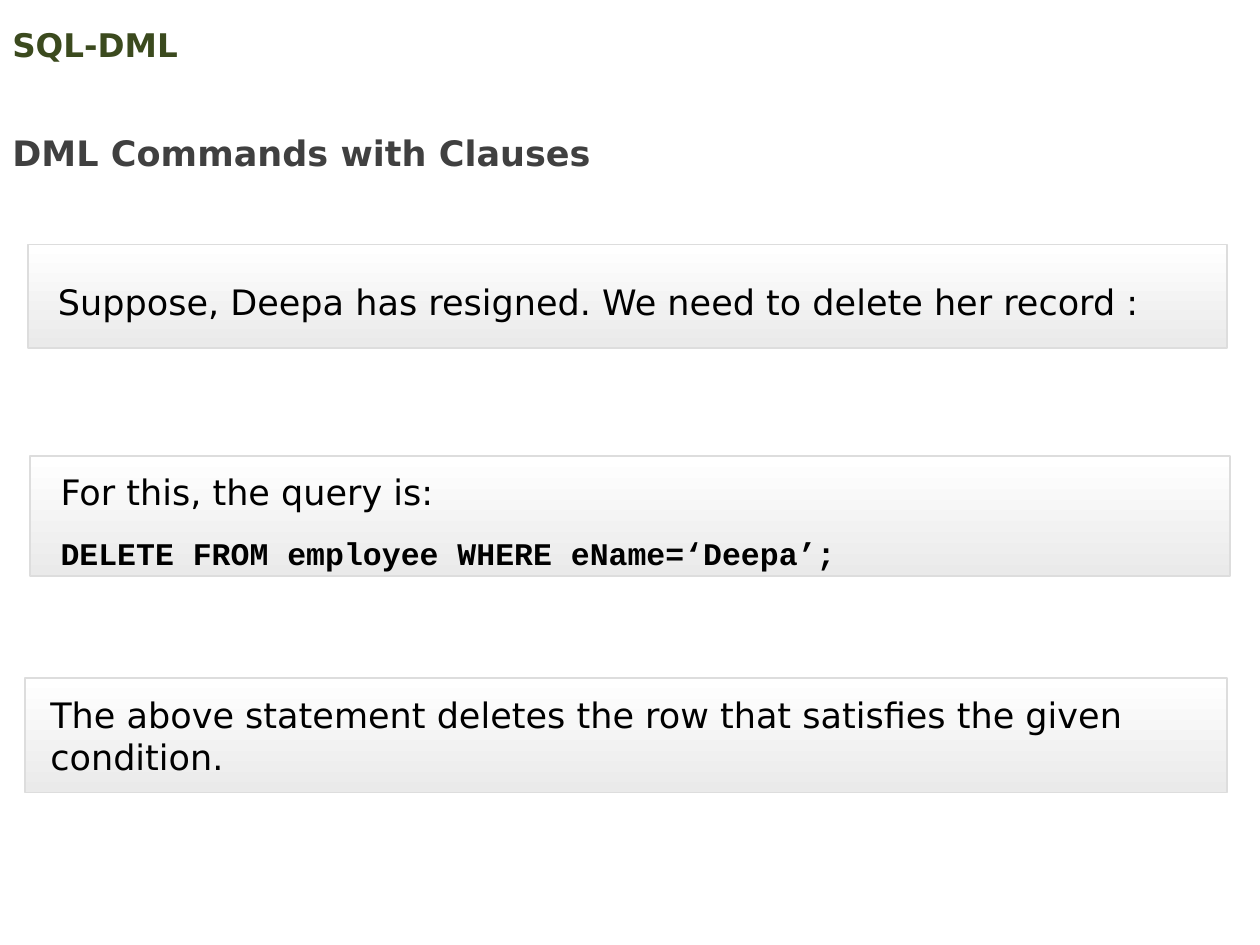
from dataclasses import dataclass

import pptx
import pptx.dml.color
import pptx.enum.shapes
import pptx.enum.text
import pptx.util

COLUMNS, ROWS = 100, 75
SLIDE_WIDTH = pptx.util.Inches(10)
SLIDE_HEIGHT = pptx.util.Inches(7.5)
ALIGN = pptx.enum.text.PP_ALIGN
ANCHOR = pptx.enum.text.MSO_ANCHOR


@dataclass(frozen=True)
class Theme:
    body_font: str = "DejaVu Sans"
    code_font: str = "Courier New"
    topic_size: float = 18.6
    body_size: float = 20
    code_size: float = 18
    topic: str = "3B4A1E"
    heading: str = "404040"
    text: str = "000000"
    panel_top: str = "FFFFFF"
    panel_bottom: str = "EAEAEA"
    panel_line: str = "DDDDDD"
    paragraph_gap: float = 6


THEME = Theme()


@dataclass(frozen=True)
class Box:
    """A region in grid columns and rows."""
    left: float
    top: float
    width: float
    height: float

    def lengths(self):
        return (columns(self.left), rows(self.top),
                columns(self.width), rows(self.height))


def columns(count):
    return round(SLIDE_WIDTH * count / COLUMNS)


def rows(count):
    return round(SLIDE_HEIGHT * count / ROWS)


def color(value):
    return pptx.dml.color.RGBColor.from_string(value)


def add_run(paragraph, text, size, ink, font=THEME.body_font, bold=False):
    run = paragraph.add_run()
    run.text = text
    run.font.name = font
    run.font.size = pptx.util.Pt(size)
    run.font.bold = bold
    run.font.color.rgb = color(ink)


def set_frame(frame, anchor, left, top, right, bottom):
    """Wrap the text and set its insets in grid units."""
    frame.word_wrap = True
    frame.vertical_anchor = anchor
    frame.margin_left, frame.margin_right = columns(left), columns(right)
    frame.margin_top, frame.margin_bottom = rows(top), rows(bottom)


def add_title(slide, box, text, size, ink, anchor, line_spacing=1.0):
    frame = slide.shapes.add_textbox(*box.lengths()).text_frame
    set_frame(frame, anchor, 1, 0.5, 1, 0.5)
    paragraph = frame.paragraphs[0]
    paragraph.line_spacing = line_spacing
    add_run(paragraph, text, size, ink, bold=True)


def add_panel(slide, box, left_inset, top_inset, right_inset):
    """Draw a shaded panel and return its text frame."""
    shape = slide.shapes.add_shape(
        pptx.enum.shapes.MSO_SHAPE.RECTANGLE, *box.lengths())
    shape.shadow.inherit = False
    shape.fill.gradient()
    shape.fill.gradient_angle = 270
    shades = (THEME.panel_top, THEME.panel_bottom)
    for stop, shade in zip(shape.fill.gradient_stops, shades):
        stop.color.rgb = color(shade)
    shape.line.color.rgb = color(THEME.panel_line)
    shape.line.width = pptx.util.Pt(1)
    set_frame(shape.text_frame, ANCHOR.MIDDLE,
              left_inset, top_inset, right_inset, 0)
    return shape.text_frame


def add_statement_panel(slide, box, statement, query=None):
    frame = add_panel(slide, box, 2.4, 0.8, 2.4)
    add_run(frame.paragraphs[0], statement, THEME.body_size, THEME.text)
    if query:
        paragraph = frame.add_paragraph()
        paragraph.space_before = pptx.util.Pt(THEME.paragraph_gap)
        add_run(paragraph, query, THEME.code_size, THEME.text,
                THEME.code_font, bold=True)
    for paragraph in frame.paragraphs:
        paragraph.alignment = ALIGN.JUSTIFY
        paragraph.space_after = pptx.util.Pt(THEME.paragraph_gap)


def add_result_panel(slide, box, result):
    frame = add_panel(slide, box, 2, 0, 1)
    paragraph = frame.paragraphs[0]
    paragraph.alignment = ALIGN.LEFT
    add_run(paragraph, result, THEME.body_size, THEME.text)


def main():
    presentation = pptx.Presentation()
    presentation.slide_width = SLIDE_WIDTH
    presentation.slide_height = SLIDE_HEIGHT
    slide = presentation.slides.add_slide(presentation.slide_layouts[6])

    add_title(slide, Box(0, 1.4, 90, 4.3), "SQL-DML",
              THEME.topic_size, THEME.topic, ANCHOR.MIDDLE)
    add_title(slide, Box(0, 8.3, 70.9, 6), "DML Commands with Clauses",
              THEME.body_size, THEME.heading, ANCHOR.TOP, line_spacing=1.5)
    add_statement_panel(
        slide, Box(2.2, 19.4, 95.2, 8.2),
        "Suppose, Deepa has resigned. We need to delete her record :")
    add_statement_panel(
        slide, Box(2.4, 36.2, 95.2, 9.5), "For this, the query is:",
        query="DELETE FROM employee WHERE eName=‘Deepa’;")
    add_result_panel(
        slide, Box(2, 53.8, 95.4, 9.1),
        "The above statement deletes the row that satisfies the given "
        "condition.")

    presentation.save("out.pptx")


if __name__ == "__main__":
    main()
